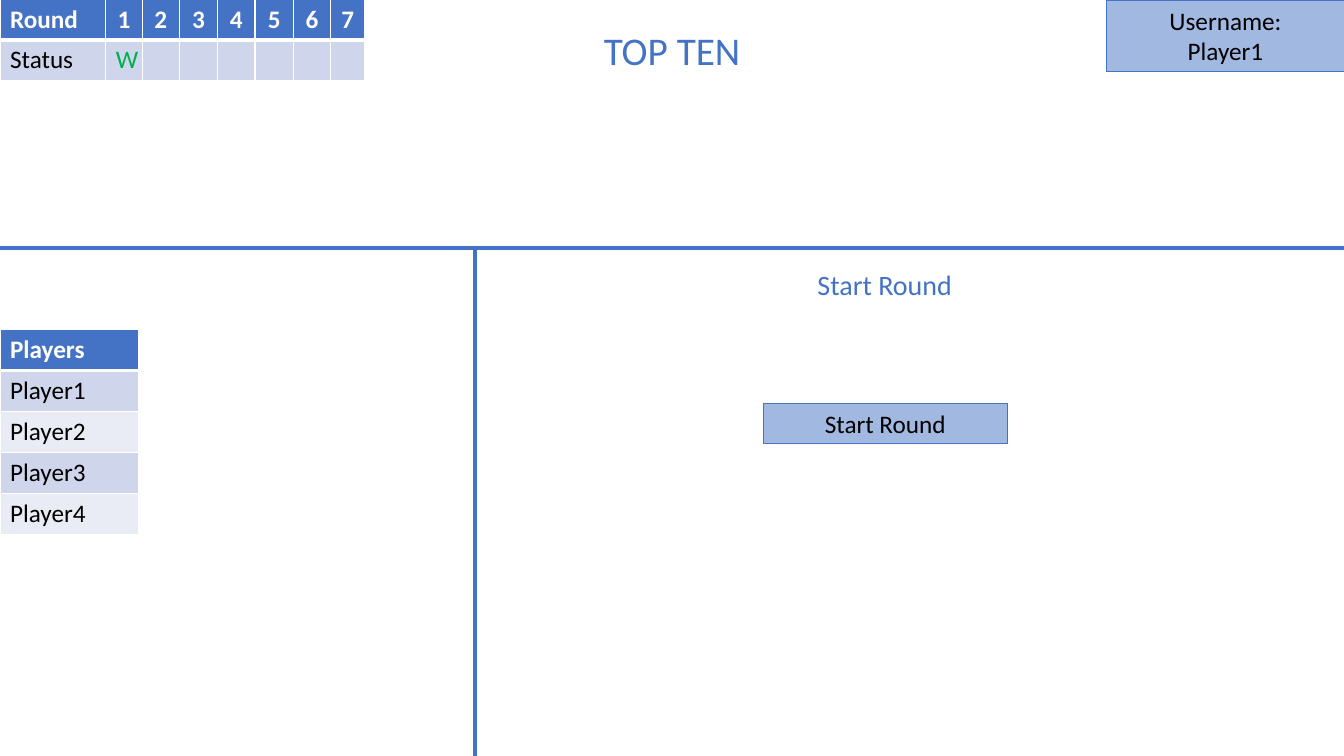
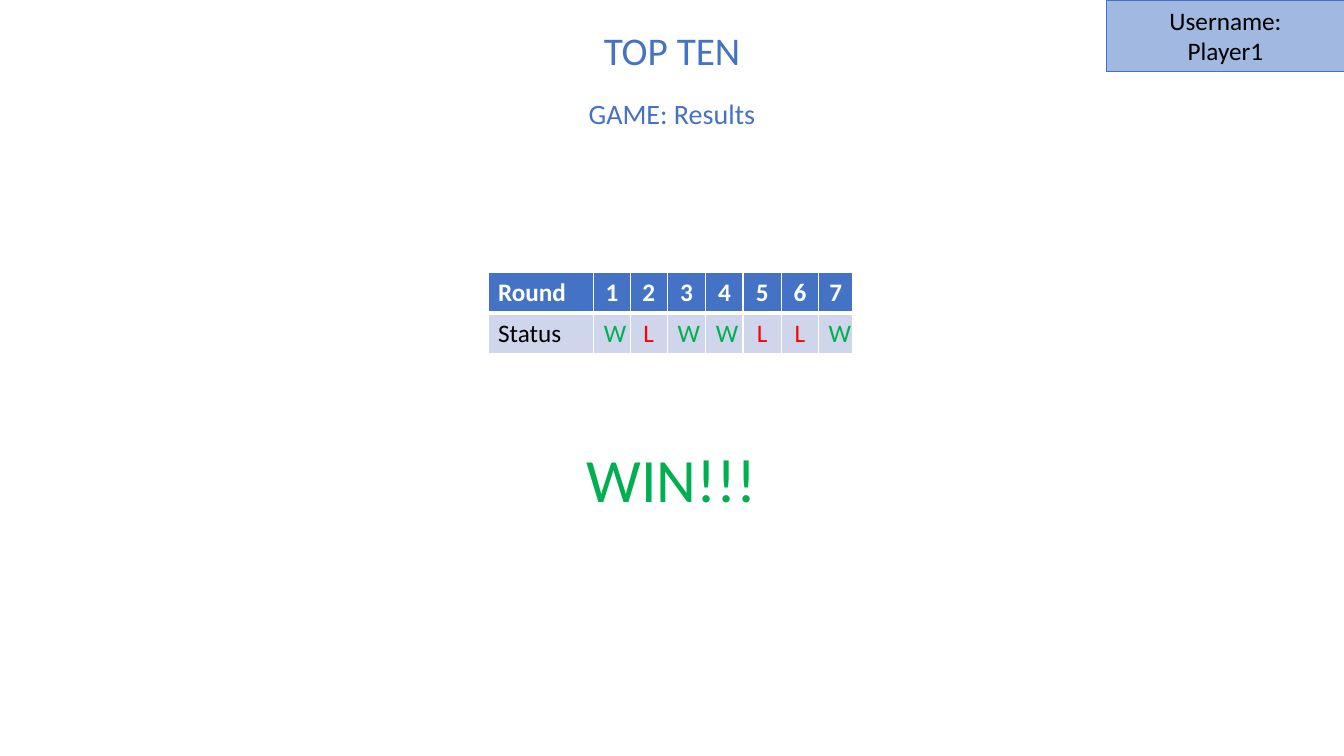
"""Build the game board and results slides of the TOP TEN game."""
import pptx
import pptx.chart.data
import pptx.dml.color
import pptx.enum.shapes
import pptx.enum.text
import pptx.oxml
import pptx.oxml.ns
import pptx.util
from lxml import etree

Inches = pptx.util.Inches
Pt = pptx.util.Pt
RGBColor = pptx.dml.color.RGBColor
CENTER = pptx.enum.text.PP_ALIGN.CENTER
LEFT = pptx.enum.text.PP_ALIGN.LEFT
MIDDLE = pptx.enum.text.MSO_ANCHOR.MIDDLE
qn = pptx.oxml.ns.qn

FONT = "Calibri"
BLUE = RGBColor(0x44, 0x72, 0xC4)
BAND_DARK = RGBColor(0xCF, 0xD5, 0xEA)
BAND_LIGHT = RGBColor(0xE9, 0xEB, 0xF5)
GREEN = RGBColor(0x00, 0xB0, 0x50)
RED = RGBColor(0xFF, 0x00, 0x00)
BLACK = RGBColor(0x00, 0x00, 0x00)
WHITE = RGBColor(0xFF, 0xFF, 0xFF)

SLIDE_WIDTH, SLIDE_HEIGHT = 13.33, 7.5
TITLE = "TOP TEN"
USERNAME = ["Username:", "Player1"]
PLAYERS = ["Players", "Player1", "Player2", "Player3", "Player4"]
ROUNDS = ["Round", "1", "2", "3", "4", "5", "6", "7"]
ROUND_WIDTHS = [1.05, 0.36, 0.37, 0.38, 0.37, 0.38, 0.37, 0.34]
FIRST_STATUS = ["W", "", "", "", "", "", ""]
FINAL_STATUS = ["W", "L", "W", "W", "L", "L", "W"]
STATUS_COLORS = {"W": GREEN, "L": RED}
ROW_HEIGHT = 0.406
DIVIDER_TOP, DIVIDER_LEFT = 2.46, 4.71


def style(paragraph, size, color, align=CENTER, bold=False):
    paragraph.alignment = align
    font = paragraph.font
    font.name, font.size, font.bold = FONT, Pt(size), bold
    font.color.rgb = color


def add_label(slide, text, left, top, width, height, size, color=BLUE):
    frame = slide.shapes.add_textbox(
        Inches(left), Inches(top), Inches(width), Inches(height)).text_frame
    frame.word_wrap = True
    frame.text = text
    style(frame.paragraphs[0], size, color)


def add_button(slide, lines, left, top, width, height):
    button = slide.shapes.add_shape(
        pptx.enum.shapes.MSO_SHAPE.RECTANGLE,
        Inches(left), Inches(top), Inches(width), Inches(height))
    button.shadow.inherit = False
    button.fill.solid()
    button.fill.fore_color.rgb = BLUE
    tint = next(button.fill._xPr.iter(qn("a:srgbClr")))
    etree.SubElement(tint, qn("a:alpha"), val="50000")
    button.line.color.rgb = BLUE
    button.line.width = Pt(0.75)
    frame = button.text_frame
    frame.word_wrap = True
    frame.vertical_anchor = MIDDLE
    frame.text = "\n".join(lines)
    for paragraph in frame.paragraphs:
        style(paragraph, 18, BLACK)


def add_divider(slide, left, top, right, bottom):
    divider = slide.shapes.add_connector(
        pptx.enum.shapes.MSO_CONNECTOR.STRAIGHT,
        Inches(left), Inches(top), Inches(right), Inches(bottom))
    divider.line.color.rgb = BLUE
    divider.line.width = Pt(3)
    etree.SubElement(divider._element.spPr, qn("a:effectLst"))


def add_borders(cell, row):
    top, bottom = (3 if row == 1 else 1), (3 if row == 0 else 1)
    properties = cell._tc.get_or_add_tcPr()
    for side, width in (("L", 1), ("R", 1), ("T", top), ("B", bottom)):
        border = etree.SubElement(properties, qn(f"a:ln{side}"), w=str(Pt(width)))
        fill = etree.SubElement(border, qn("a:solidFill"))
        etree.SubElement(fill, qn("a:srgbClr"), val=str(WHITE))


def add_grid(slide, rows, widths, left, top):
    grid = slide.shapes.add_table(
        len(rows), len(widths), Inches(left), Inches(top),
        Inches(sum(widths)), Inches(ROW_HEIGHT * len(rows))).table
    for column, width in zip(grid.columns, widths):
        column.width = Inches(width)
    for r, texts in enumerate(rows):
        grid.rows[r].height = Inches(ROW_HEIGHT)
        for c, text in enumerate(texts):
            cell = grid.cell(r, c)
            add_borders(cell, r)
            cell.fill.solid()
            band = BAND_DARK if r % 2 else BAND_LIGHT
            cell.fill.fore_color.rgb = band if r else BLUE
            cell.text = text
            color = STATUS_COLORS.get(text, BLACK) if r else WHITE
            style(cell.text_frame.paragraphs[0], 18, color,
                  CENTER if c else LEFT, bold=r == 0)


def add_rounds(slide, status, left, top):
    add_grid(slide, [ROUNDS, ["Status"] + status], ROUND_WIDTHS, left, top)


def add_game_slide(deck):
    slide = deck.slides.add_slide(deck.slide_layouts[6])
    add_button(slide, USERNAME, 10.97, 0, 2.37, 0.71)
    add_label(slide, TITLE, 5.25, 0.21, 2.83, 0.57, 28)
    return slide


def build_board(deck):
    slide = add_game_slide(deck)
    add_label(slide, "Start Round", 7.36, 2.6, 2.83, 0.44, 20)
    add_button(slide, ["Start Round"], 7.57, 4, 2.42, 0.4)
    add_divider(slide, 0, DIVIDER_TOP, SLIDE_WIDTH, DIVIDER_TOP)
    add_divider(slide, DIVIDER_LEFT, DIVIDER_TOP, DIVIDER_LEFT, SLIDE_HEIGHT)
    add_grid(slide, [[player] for player in PLAYERS], [1.37], 0, 3.27)
    add_rounds(slide, FIRST_STATUS, 0, -0.01)


def build_results(deck):
    slide = add_game_slide(deck)
    add_label(slide, "GAME: Results", 5.25, 0.91, 2.83, 0.44, 20)
    add_label(slide, "WIN!!!", 5.22, 4.33, 2.88, 0.84, 44, GREEN)
    add_rounds(slide, FINAL_STATUS, 4.84, 2.7)


def main():
    deck = pptx.Presentation()
    deck.slide_width = Inches(SLIDE_WIDTH)
    deck.slide_height = Inches(SLIDE_HEIGHT)
    build_board(deck)
    build_results(deck)
    deck.save("out.pptx")


if __name__ == "__main__":
    main()
